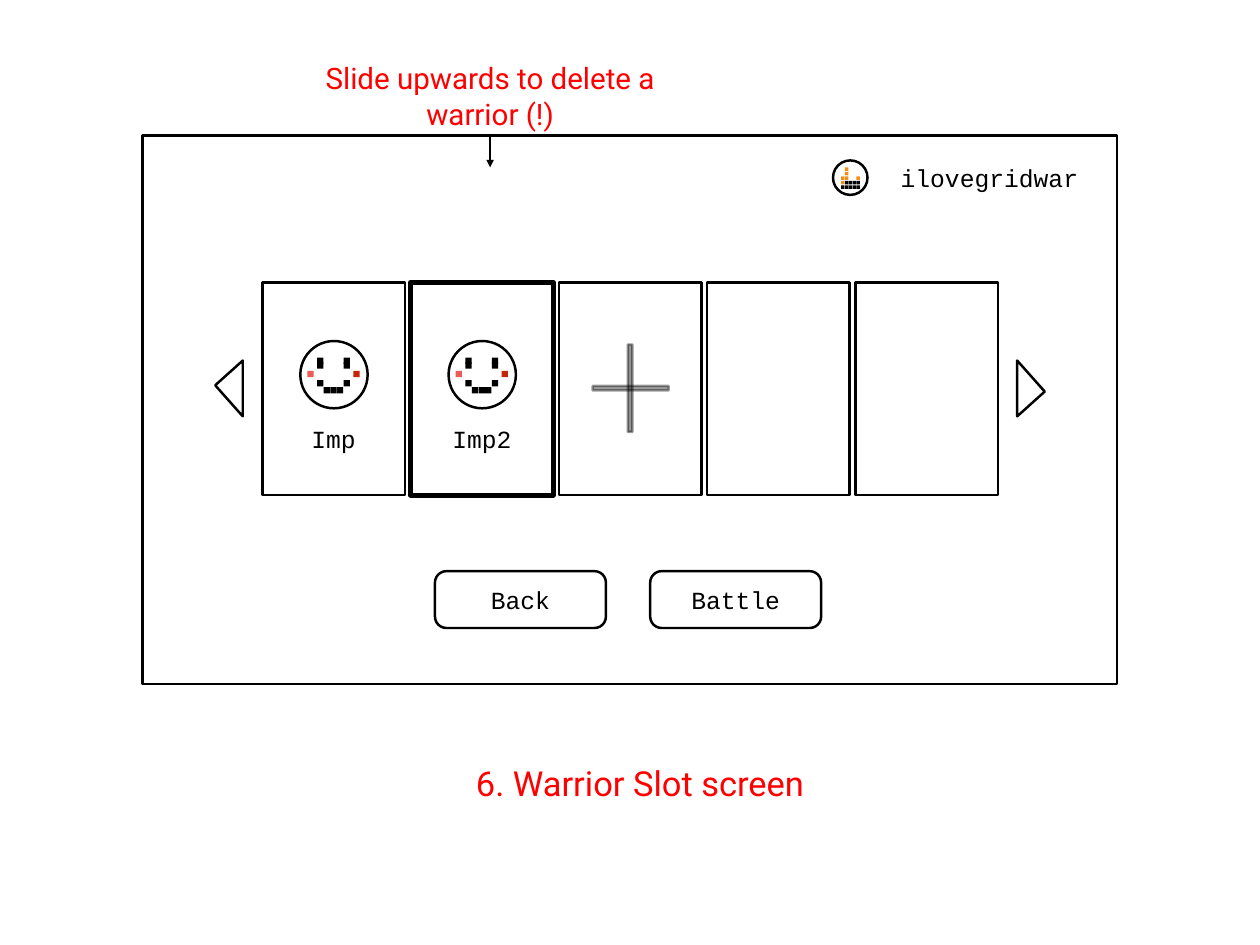
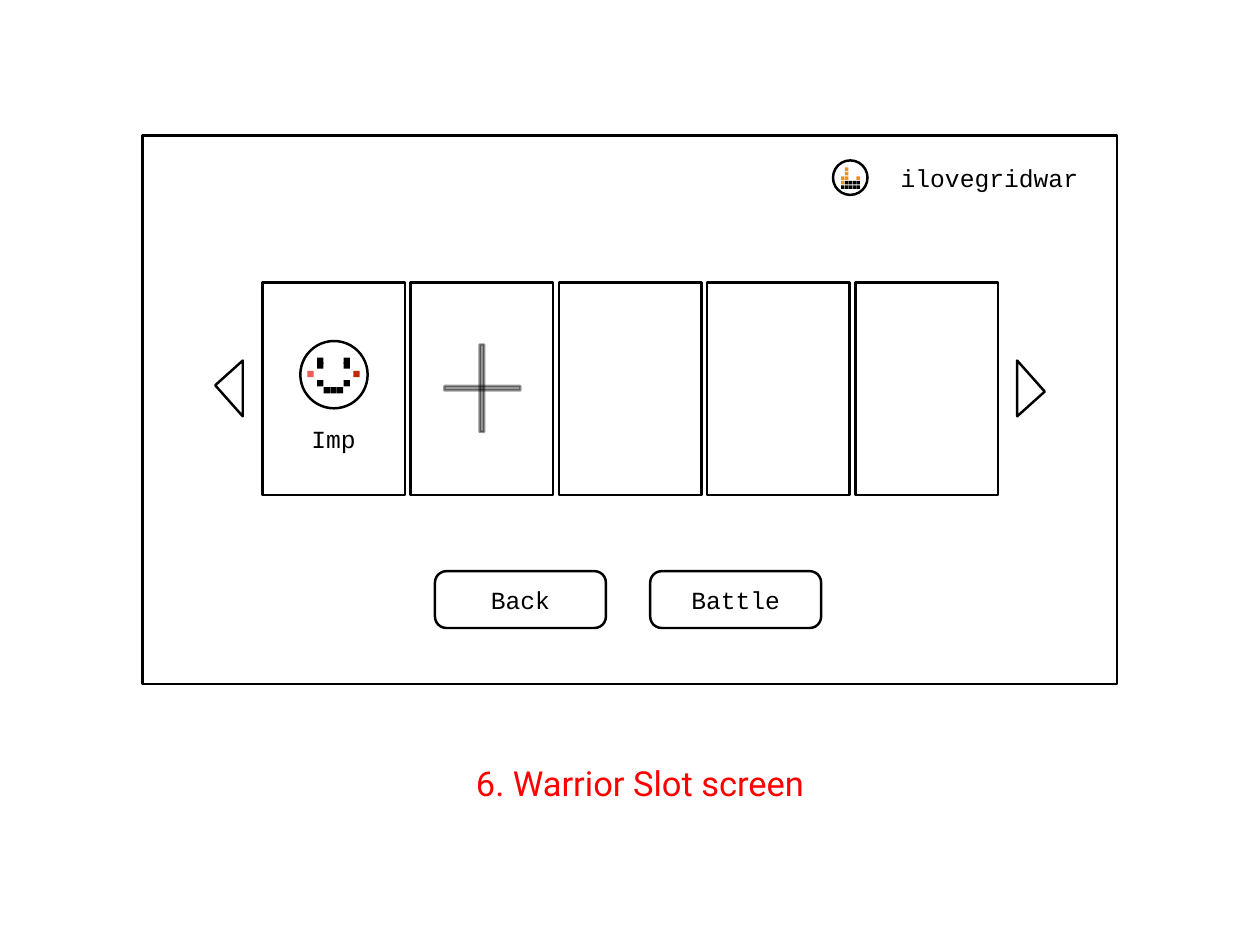
from dataclasses import dataclass
from typing import Optional

from pptx import Presentation
from pptx.dml.color import RGBColor
from pptx.enum.shapes import MSO_CONNECTOR, MSO_SHAPE
from pptx.enum.text import MSO_ANCHOR, MSO_AUTO_SIZE, PP_ALIGN
from pptx.oxml.ns import qn
from pptx.shapes.autoshape import Shape
from pptx.slide import Slide
from pptx.text.text import TextFrame
from pptx.util import Cm, Pt

RECTANGLE = MSO_SHAPE.RECTANGLE
ROUNDED = MSO_SHAPE.ROUNDED_RECTANGLE
OVAL = MSO_SHAPE.OVAL
STRAIGHT = MSO_CONNECTOR.STRAIGHT
MIDDLE = MSO_ANCHOR.MIDDLE
CENTER = PP_ALIGN.CENTER
GROW = MSO_AUTO_SIZE.SHAPE_TO_FIT_TEXT
FIXED = MSO_AUTO_SIZE.NONE

BLACK = RGBColor(0x00, 0x00, 0x00)
WHITE = RGBColor(0xFF, 0xFF, 0xFF)
RED = RGBColor(0xFF, 0x00, 0x00)
ORANGE = RGBColor(0xF3, 0x8F, 0x18)
PINK = RGBColor(0xEC, 0x5C, 0x57)
CRIMSON = RGBColor(0xC8, 0x25, 0x06)
PIXEL_COLORS = {"#": BLACK, "O": ORANGE, "P": PINK, "R": CRIMSON}

SCREEN_FONT = "Courier New"
NOTE_FONT = "Roboto"
TEXT_INSET = 0.15

SLOT_COUNT = 5
SLOT_LEFT, SLOT_TOP, SLOT_PITCH = 7.52, 8.1, 4.25
SLOT_WIDTH, SLOT_HEIGHT = 4.09, 6.1
BUTTON_TOP, BUTTON_WIDTH, BUTTON_HEIGHT = 16.38, 4.9, 1.63
PLUS_THICKNESS = 0.13


@dataclass(frozen=True)
class Box:
    left: float
    top: float
    width: float
    height: float

    def emu(self) -> tuple[Cm, Cm, Cm, Cm]:
        return Cm(self.left), Cm(self.top), Cm(self.width), Cm(self.height)


@dataclass(frozen=True)
class Emblem:
    diameter: float
    pixel: float
    columns: tuple[float, ...]
    rows: tuple[float, ...]
    pattern: tuple[str, ...]


@dataclass(frozen=True)
class Button:
    label: str
    left: float
    label_width: float


@dataclass(frozen=True)
class Screen:
    warriors: tuple[str, ...]
    selected: Optional[int] = None
    note: str = ""


USER_EMBLEM = Emblem(
    0.99, 0.1,
    tuple(0.23 + 0.11 * column for column in range(5)),
    tuple(0.2 + 0.13 * row for row in range(5)),
    (".O...", ".O...", "OO..O", "O####", "#####"),
)
WARRIOR_FACE = Emblem(
    1.93, 0.18,
    (0.2, 0.48, 0.67, 0.86, 1.05, 1.24, 1.52),
    (0.48, 0.61, 0.86, 1.12, 1.32),
    (".#...#.", ".#...#.", "P.....R", ".#...#.", "..###.."),
)
BUTTONS = (Button("Back", 12.47, 2.36), Button("Battle", 18.64, 3.38))
PAGING_ARROWS = (
    ((6.96, 11.94), (6.17, 11.05), (6.96, 10.34)),
    ((29.16, 10.34), (29.95, 11.23), (29.16, 11.94)),
)
SCREENS = (
    Screen(("Imp", "Imp2"), selected=1, note="Slide upwards to delete a warrior (!)"),
    Screen(("Imp",)),
)


def paint(shape: Shape, fill: Optional[RGBColor] = WHITE, line: Optional[RGBColor] = BLACK,
          weight: float = 2, opacity: int = 100) -> Shape:
    shape.shadow.inherit = False
    if fill is None:
        shape.fill.background()
    else:
        shape.fill.solid()
        shape.fill.fore_color.rgb = fill
    if line is None:
        shape.line.fill.background()
    else:
        shape.line.color.rgb = line
        shape.line.width = Pt(weight)
    if opacity < 100:
        for color in shape.element.spPr.iter(qn("a:srgbClr")):
            alpha = color.makeelement(qn("a:alpha"), {"val": str(opacity * 1000)})
            color.append(alpha)
    return shape


def write(frame: TextFrame, text: str, *, size: float = 20, font: str = SCREEN_FONT,
          color: RGBColor = BLACK, wrap: bool = False, auto_size: MSO_AUTO_SIZE = GROW) -> None:
    frame.text = text
    frame.word_wrap = wrap
    frame.auto_size = auto_size
    frame.vertical_anchor = MIDDLE
    frame.margin_left = frame.margin_right = Cm(TEXT_INSET)
    frame.margin_top = frame.margin_bottom = Cm(TEXT_INSET)
    paragraph = frame.paragraphs[0]
    paragraph.alignment = CENTER
    run_font = paragraph.runs[0].font
    run_font.size = Pt(size)
    run_font.name = font
    run_font.color.rgb = color


def draw_emblem(slide: Slide, emblem: Emblem, left: float, top: float) -> None:
    disc = Box(left, top, emblem.diameter, emblem.diameter)
    paint(slide.shapes.add_shape(OVAL, *disc.emu()))
    for row, marks in zip(emblem.rows, emblem.pattern):
        for column, mark in zip(emblem.columns, marks):
            if mark in PIXEL_COLORS:
                pixel = Box(left + column, top + row, emblem.pixel, emblem.pixel)
                paint(slide.shapes.add_shape(RECTANGLE, *pixel.emu()),
                      fill=PIXEL_COLORS[mark], line=None)


def draw_plus(slide: Slide, slot_left: float) -> None:
    bars = (
        (Box(slot_left + 0.97, SLOT_TOP + 2.97, 2.18, PLUS_THICKNESS), 38),
        (Box(slot_left + 1.98, SLOT_TOP + 1.78, PLUS_THICKNESS, 2.51), 41),
    )
    for bar, opacity in bars:
        paint(slide.shapes.add_shape(RECTANGLE, *bar.emu()), fill=BLACK, opacity=opacity)


def draw_slots(slide: Slide, screen: Screen) -> None:
    for index in range(SLOT_COUNT):
        left = SLOT_LEFT + index * SLOT_PITCH
        slot = Box(left, SLOT_TOP, SLOT_WIDTH, SLOT_HEIGHT)
        paint(slide.shapes.add_shape(RECTANGLE, *slot.emu()),
              weight=4 if index == screen.selected else 2)
        if index < len(screen.warriors):
            draw_emblem(slide, WARRIOR_FACE, left + 1.09, SLOT_TOP + 1.68)
            name_box = Box(left, SLOT_TOP + 3.71, SLOT_WIDTH, 1.52)
            write(slide.shapes.add_textbox(*name_box.emu()).text_frame,
                  screen.warriors[index], wrap=True, auto_size=FIXED)
        elif index == len(screen.warriors):
            draw_plus(slide, left)


def draw_paging_arrows(slide: Slide) -> None:
    for start, *others in PAGING_ARROWS:
        outline = slide.shapes.build_freeform(Cm(start[0]), Cm(start[1]))
        outline.add_line_segments([(Cm(x), Cm(y)) for x, y in others], close=True)
        paint(outline.convert_to_shape())


def draw_button(slide: Slide, button: Button) -> None:
    body = Box(button.left, BUTTON_TOP, BUTTON_WIDTH, BUTTON_HEIGHT)
    outline = paint(slide.shapes.add_shape(ROUNDED, *body.emu()))
    outline.adjustments[0] = 0.2
    label_left = button.left + (BUTTON_WIDTH - button.label_width) / 2
    label_box = Box(label_left, BUTTON_TOP + 0.33, button.label_width, 0.99)
    write(slide.shapes.add_textbox(*label_box.emu()).text_frame, button.label)


def draw_note(slide: Slide, note: str) -> None:
    note_box = Box(7.98, 1.57, 12.14, 2.34)
    write(slide.shapes.add_textbox(*note_box.emu()).text_frame, note,
          size=24, font=NOTE_FONT, color=RED, wrap=True)
    pointer = slide.shapes.add_connector(STRAIGHT, Cm(14.05), Cm(3.84), Cm(14.05), Cm(4.8))
    pointer.line.color.rgb = BLACK
    pointer.line.width = Pt(2)
    properties = pointer.element.spPr
    line = pointer.line._get_or_add_ln()
    line.append(line.makeelement(qn("a:tailEnd"), {"type": "triangle"}))
    properties.append(properties.makeelement(qn("a:effectLst"), {}))


def draw_caption(slide: Slide) -> None:
    caption = slide.shapes.title
    caption.left, caption.top, caption.width, caption.height = Box(13.39, 21.72, 9.91, 1.47).emu()
    write(caption.text_frame, "6. Warrior Slot screen", size=28, font=NOTE_FONT, color=RED)


def draw_screen(slide: Slide, screen: Screen) -> None:
    draw_caption(slide)
    paint(slide.shapes.add_shape(RECTANGLE, *Box(4.09, 3.89, 27.94, 15.72).emu()), fill=None)
    draw_emblem(slide, USER_EMBLEM, 23.88, 4.6)
    user_box = Box(25.15, 4.6, 6.43, 0.99)
    write(slide.shapes.add_textbox(*user_box.emu()).text_frame, "ilovegridwar")
    draw_slots(slide, screen)
    draw_paging_arrows(slide)
    for button in BUTTONS:
        draw_button(slide, button)
    if screen.note:
        draw_note(slide, screen.note)


def main() -> None:
    deck = Presentation()
    deck.slide_width, deck.slide_height = Cm(36.12), Cm(27.1)
    title_only = deck.slide_layouts.get_by_name("Title Only")
    for screen in SCREENS:
        draw_screen(deck.slides.add_slide(title_only), screen)
    deck.save("out.pptx")


main()
